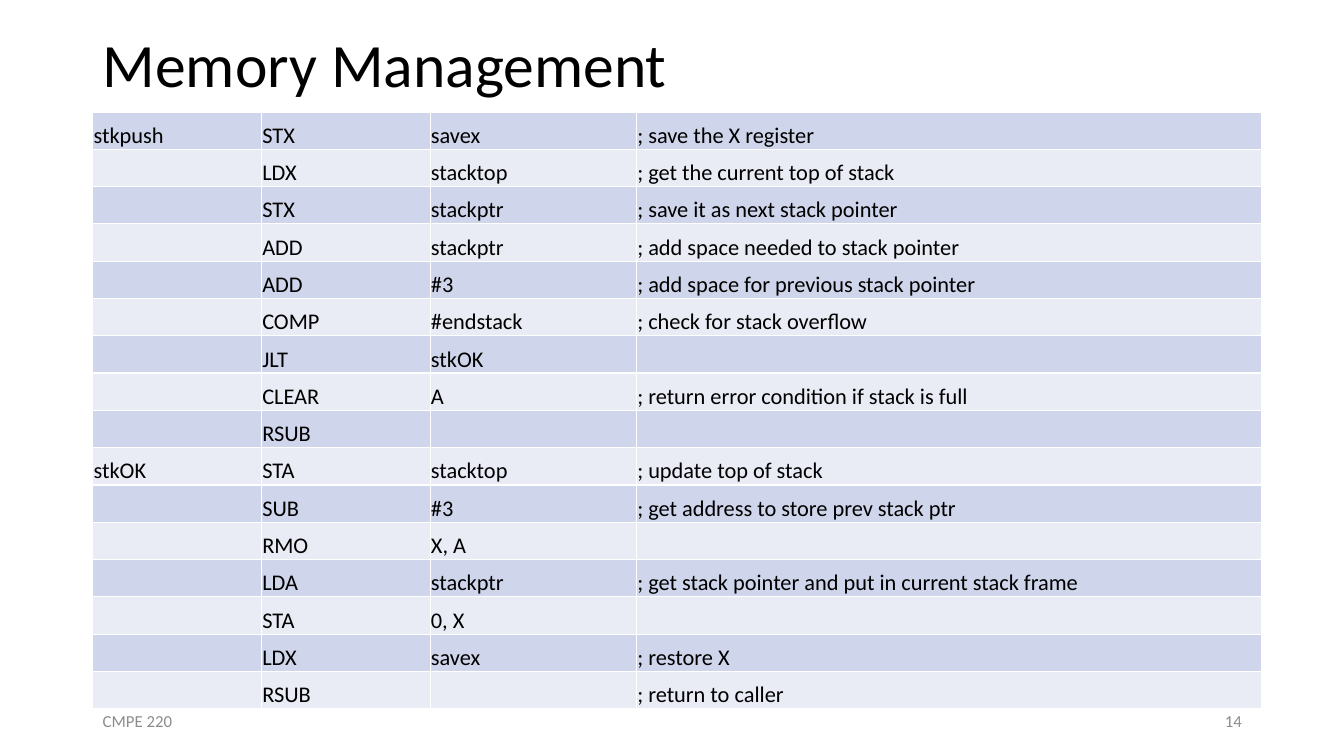
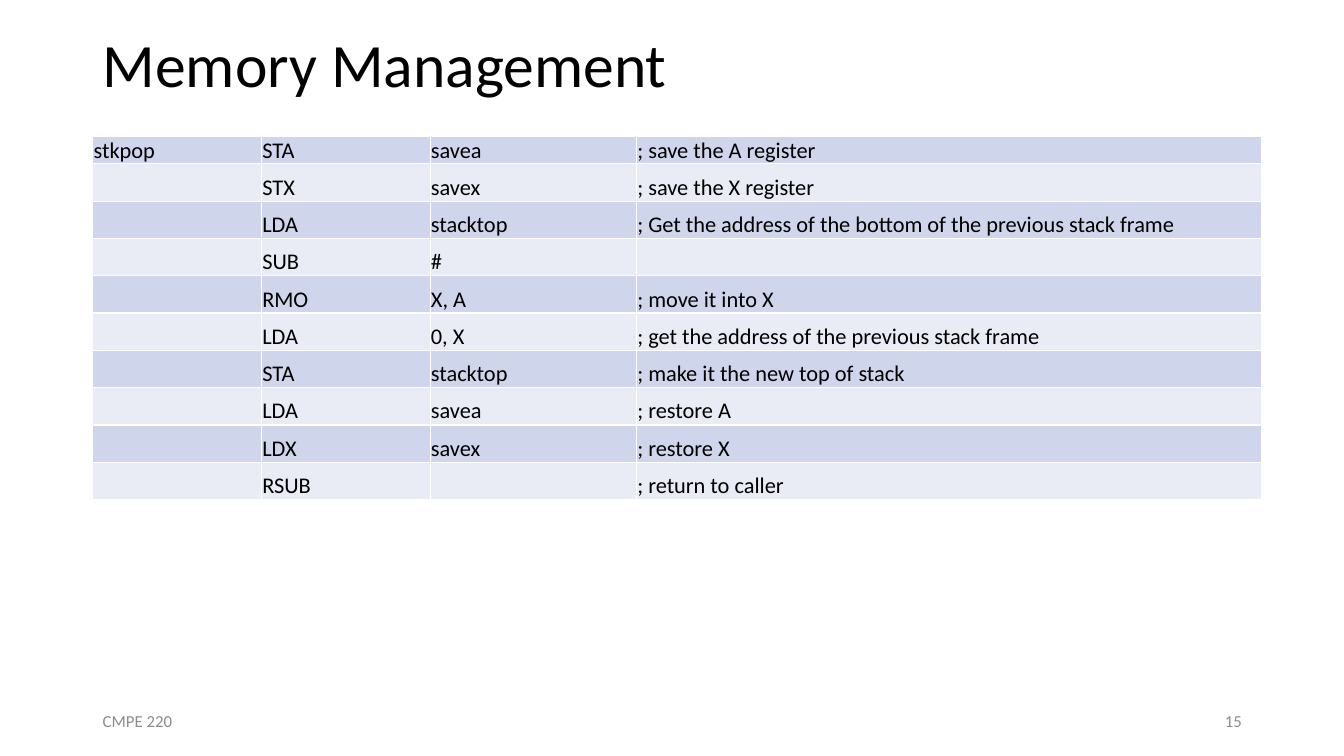
from lxml import etree
from pptx import Presentation
from pptx.dml.color import RGBColor
from pptx.enum.text import MSO_ANCHOR, PP_ALIGN
from pptx.oxml.ns import qn
from pptx.util import Cm, Pt

MIDDLE, BOTTOM = MSO_ANCHOR.MIDDLE, MSO_ANCHOR.BOTTOM
LEFT, RIGHT = PP_ALIGN.LEFT, PP_ALIGN.RIGHT

FONT = "Calibri"
BLACK, GREY, WHITE = "000000", "8C8C8C", "FFFFFF"
ROW_BANDS = ("CFD5EA", "E9EBF5")

SLIDE_WIDTH, SLIDE_HEIGHT = 33.87, 19.05
MARGIN, CONTENT_WIDTH = 2.34, 29.21
TITLE_BOX = (MARGIN, 0, CONTENT_WIDTH, 3.43)
FOOTER_BOX = (MARGIN, 17.65, CONTENT_WIDTH, 1.02)
FOOTER_PART_WIDTH = 7.62
COLUMN_WIDTHS = (4.25, 4.25, 5.2, 15.75)
ROW_HEIGHT = 0.94
CELL_INSET = 0.02

PUSH_CODE = [
    ("stkpush", "STX", "savex", "; save the X register"),
    ("", "LDX", "stacktop", "; get the current top of stack"),
    ("", "STX", "stackptr", "; save it as next stack pointer"),
    ("", "ADD", "stackptr", "; add space needed to stack pointer"),
    ("", "ADD", "#3", "; add space for previous stack pointer"),
    ("", "COMP", "#endstack", "; check for stack overflow"),
    ("", "JLT", "stkOK", ""),
    ("", "CLEAR", "A", "; return error condition if stack is full"),
    ("", "RSUB", "", ""),
    ("stkOK", "STA", "stacktop", "; update top of stack"),
    ("", "SUB", "#3", "; get address to store prev stack ptr"),
    ("", "RMO", "X, A", ""),
    ("", "LDA", "stackptr", "; get stack pointer and put in current stack frame"),
    ("", "STA", "0, X", ""),
    ("", "LDX", "savex", "; restore X"),
    ("", "RSUB", "", "; return to caller"),
]
POP_CODE = [
    ("stkpop", "STA", "savea", "; save the A register"),
    ("", "STX", "savex", "; save the X register"),
    ("", "LDA", "stacktop",
     "; Get the address of the bottom of the previous stack frame"),
    ("", "SUB", "#", ""),
    ("", "RMO", "X, A", "; move it into X"),
    ("", "LDA", "0, X", "; get the address of the previous stack frame"),
    ("", "STA", "stacktop", "; make it the new top of stack"),
    ("", "LDA", "savea", "; restore A"),
    ("", "LDX", "savex", "; restore X"),
    ("", "RSUB", "", "; return to caller"),
]


def color(hex_code):
    return RGBColor.from_string(hex_code)


def write(frame, text, size=16, ink=BLACK, align=LEFT, line_spacing=None):
    """Put one formatted paragraph into a text frame."""
    paragraph = frame.paragraphs[0]
    paragraph.alignment = align
    if line_spacing:
        paragraph.line_spacing = line_spacing
    run = paragraph.add_run()
    run.text = text
    run.font.name = FONT
    run.font.size = Pt(size)
    run.font.color.rgb = color(ink)


def add_label(slide, box, text, **text_format):
    frame = slide.shapes.add_textbox(*map(Cm, box)).text_frame
    frame.word_wrap = True
    frame.vertical_anchor = MIDDLE
    write(frame, text, **text_format)


def add_footer(slide, box, course, number):
    left, top, width, height = box
    part_size = (FOOTER_PART_WIDTH, height)
    add_label(slide, (left, top, *part_size), course, size=12, ink=GREY)
    add_label(slide, (left + width - FOOTER_PART_WIDTH, top, *part_size),
              str(number), size=12, ink=GREY, align=RIGHT)


def add_borders(cell, hex_code, width=1):
    properties = cell._tc.get_or_add_tcPr()
    for side in ("a:lnL", "a:lnR", "a:lnT", "a:lnB"):
        line = etree.SubElement(properties, qn(side), w=str(Pt(width)))
        fill = etree.SubElement(line, qn("a:solidFill"))
        etree.SubElement(fill, qn("a:srgbClr"), val=hex_code)


def style_cell(cell, band):
    cell.vertical_anchor = BOTTOM
    cell.margin_left = cell.margin_right = cell.margin_top = Cm(CELL_INSET)
    cell.margin_bottom = 0
    add_borders(cell, WHITE)
    cell.fill.solid()
    cell.fill.fore_color.rgb = color(band)


def add_code_table(slide, left, top, code, first_row_height):
    row_heights = [first_row_height] + [ROW_HEIGHT] * (len(code) - 1)
    table = slide.shapes.add_table(
        len(code), len(COLUMN_WIDTHS), Cm(left), Cm(top),
        Cm(sum(COLUMN_WIDTHS)), Cm(sum(row_heights))).table
    table.first_row = table.horz_banding = False
    for column, width in zip(table.columns, COLUMN_WIDTHS):
        column.width = Cm(width)
    for index, (row, height, words) in enumerate(
            zip(table.rows, row_heights, code)):
        row.height = Cm(height)
        for cell, word in zip(row.cells, words):
            style_cell(cell, ROW_BANDS[index % 2])
            if word:
                write(cell.text_frame, word)


def add_code_slide(deck, number, code, table_top, first_row_height=ROW_HEIGHT):
    slide = deck.slides.add_slide(deck.slide_layouts[6])
    add_label(slide, TITLE_BOX, "Memory Management", size=44, line_spacing=0.9)
    add_code_table(slide, MARGIN, table_top, code, first_row_height)
    add_footer(slide, FOOTER_BOX, "CMPE 220", number)


def main():
    deck = Presentation()
    deck.slide_width, deck.slide_height = Cm(SLIDE_WIDTH), Cm(SLIDE_HEIGHT)
    add_code_slide(deck, 14, PUSH_CODE, table_top=2.82)
    add_code_slide(deck, 15, POP_CODE, table_top=3.43, first_row_height=0.48)
    deck.save("out.pptx")


if __name__ == "__main__":
    main()
